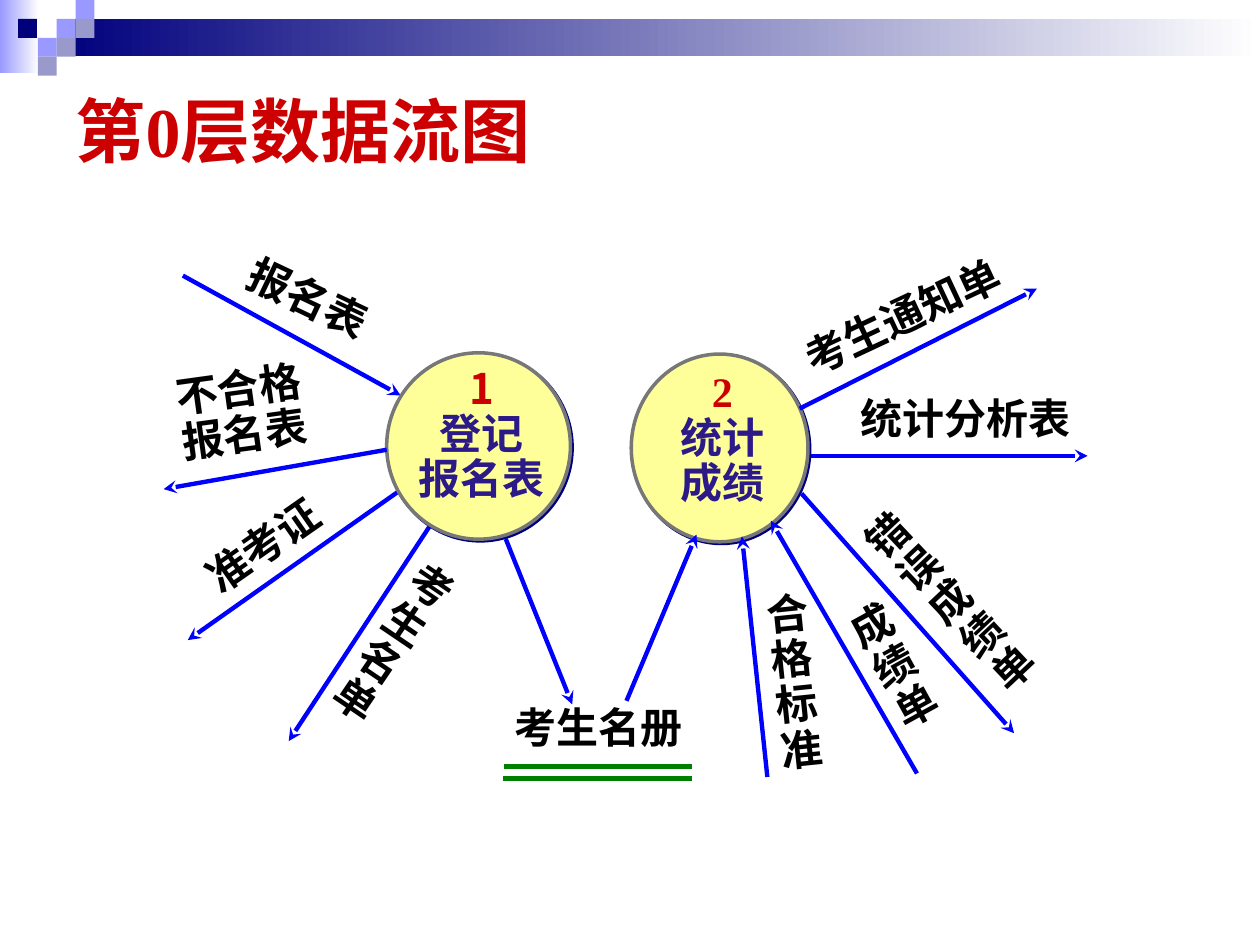
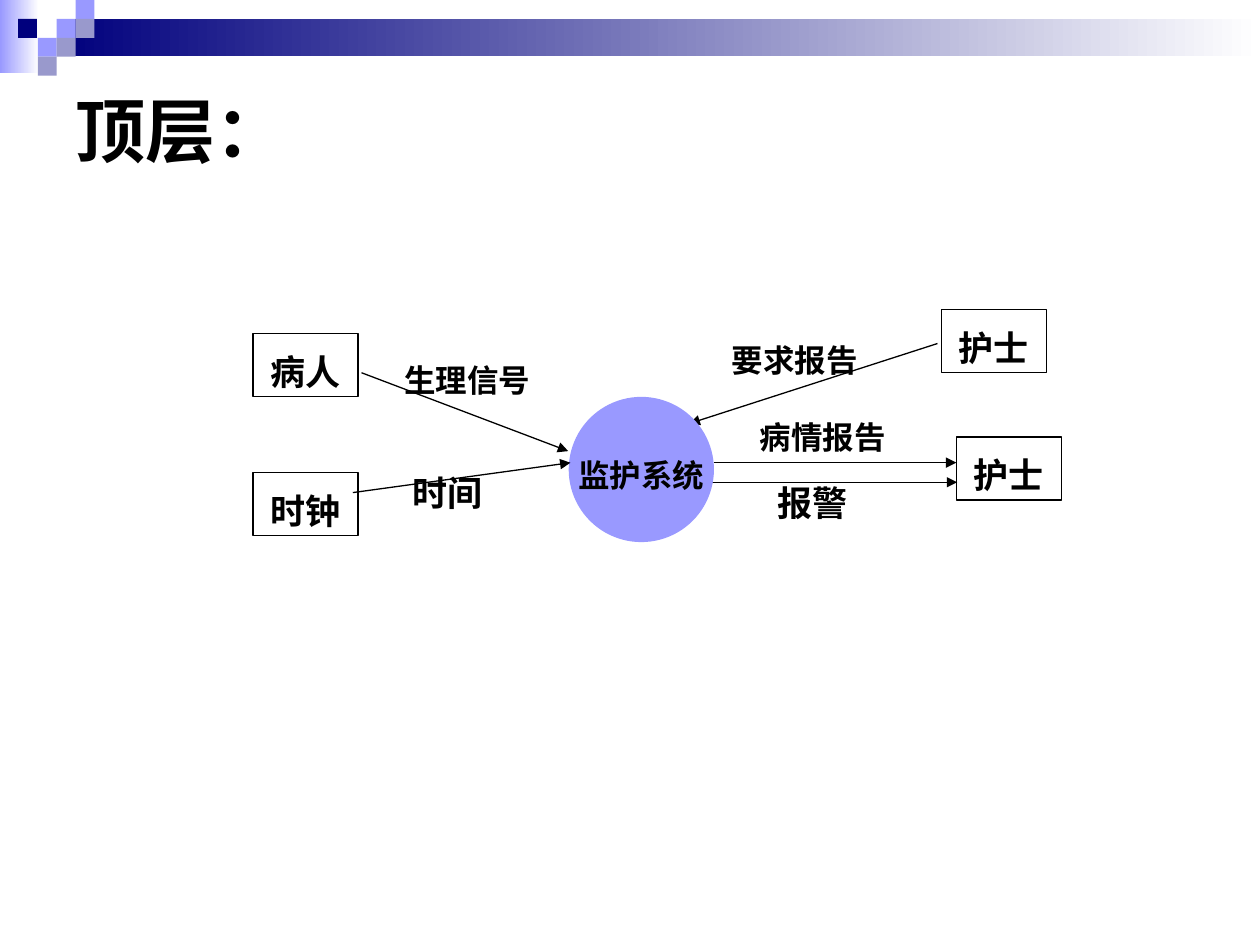
from dataclasses import dataclass

from lxml import etree
from pptx import Presentation
from pptx.dml.color import RGBColor
from pptx.enum import shapes, text
from pptx.oxml import ns
from pptx.util import Pt

CJK, SERIF = "Noto Sans CJK SC", "Times New Roman"
BLACK, RED, INDIGO = "000000", "CC0000", "2C1A88"
NAVY, LILAC, GREY_LILAC = "00007D", "9999FF", "9999CC"
BLUE, GREEN, GREY, YELLOW = "0000FF", "008000", "777777", "FFFF99"
RECT, OVAL = shapes.MSO_SHAPE.RECTANGLE, shapes.MSO_SHAPE.OVAL
LEFT, CENTER = text.PP_ALIGN.LEFT, text.PP_ALIGN.CENTER


def rgb(colour):
    return RGBColor.from_string(colour)


def add_xml(parent, tag, **attributes):
    return etree.SubElement(parent, ns.qn(tag), attributes)


@dataclass
class Span:
    text: str
    colour: str = BLACK
    font: str = CJK


class Sketch:
    """Holds the deck, its shared style and the slide being drawn."""

    def __init__(self):
        self.deck = Presentation()
        self.deck.slide_width, self.deck.slide_height = Pt(720), Pt(540)
        self.page = None

    def new_page(self, title, colour):
        self.page = self.deck.slides.add_slide(self.deck.slide_layouts[5])
        box = self.page.shapes.title
        box.left, box.top, box.width, box.height = Pt(36), Pt(36), Pt(648), Pt(75.5)
        frame = box.text_frame
        frame.auto_size = text.MSO_AUTO_SIZE.NONE
        frame.vertical_anchor = text.MSO_ANCHOR.MIDDLE
        self.set_text(frame, [[Span(title, colour, SERIF)]], 40)

    def set_text(self, frame, paragraphs, size, spacing=None, align=LEFT):
        for index, spans in enumerate(paragraphs):
            para = frame.add_paragraph() if index else frame.paragraphs[0]
            para.alignment = align
            para.line_spacing = spacing
            for span in spans:
                run = para.add_run()
                run.text = span.text
                run.font.size, run.font.bold = Pt(size), True
                run.font.color.rgb = rgb(span.colour)
                run.font.name = span.font
                add_xml(run._r.get_or_add_rPr(), "a:ea", typeface=CJK)

    def shape(self, kind, place, fill=None, line=None, width=0.75):
        shape = self.page.shapes.add_shape(kind, *map(Pt, place))
        shape.shadow.inherit = False
        if fill:
            shape.fill.solid()
            shape.fill.fore_color.rgb = rgb(fill)
        else:
            shape.fill.background()
        if line:
            shape.line.color.rgb = rgb(line)
            shape.line.width = Pt(width)
        else:
            shape.line.fill.background()
        return shape

    def node(self, kind, place, span, size, fill=None, line=None):
        """A shape with one centred line of text."""
        frame = self.shape(kind, place, fill, line).text_frame
        frame.word_wrap = False
        frame.vertical_anchor = text.MSO_ANCHOR.MIDDLE
        self.set_text(frame, [[span]], size, 1.3, CENTER)

    def process(self, place):
        """A yellow circle with a hard navy shadow."""
        circle = self.shape(OVAL, place, YELLOW, GREY, 2)
        effects = circle.element.spPr.find(ns.qn("a:effectLst"))
        shadow = add_xml(effects, "a:outerShdw", dist=str(Pt(1.4)),
                         dir="2700000", algn="ctr", rotWithShape="0")
        add_xml(shadow, "a:srgbClr", val=NAVY)

    def label(self, place, paragraphs, size=24, spacing=None, turn=0,
              align=LEFT, wrap=True):
        box = self.page.shapes.add_textbox(*map(Pt, place))
        box.rotation = turn
        frame = box.text_frame
        frame.word_wrap = wrap
        frame.auto_size = text.MSO_AUTO_SIZE.SHAPE_TO_FIT_TEXT
        self.set_text(frame, paragraphs, size, spacing, align)

    def line(self, ends, colour, width, arrow=None):
        line = self.page.shapes.add_connector(
            shapes.MSO_CONNECTOR.STRAIGHT, *map(Pt, ends))
        line.line.color.rgb = rgb(colour)
        line.line.width = Pt(width)
        outline = line.element.spPr.find(ns.qn("a:ln"))
        if arrow:
            add_xml(outline, "a:tailEnd", type=arrow)
        add_xml(line.element.spPr, "a:effectLst")

    def fade(self, place, colour):
        """A band that runs from a colour at the left to white."""
        band = self.shape(RECT, place, colour)
        band.fill.gradient()
        band.fill.gradient_angle = 0
        for stop, tone in zip(band.fill.gradient_stops, (colour, "FFFFFF")):
            stop.color.rgb = rgb(tone)
        return band

    def decorate_master(self):
        """Draw the header on the current page, then move it to the master."""
        tile = 10.8
        parts = [self.fade((0, 0, 22.3, 42), LILAC),
                 self.fade((32.4, tile, 687.6, 21.4), NAVY)]
        for left, row, colour in [
                (32.4, 1, LILAC), (43.2, 0, LILAC), (43.2, 1, GREY_LILAC),
                (21.6, 2, LILAC), (10.3, 1, NAVY), (32.4, 2, GREY_LILAC),
                (21.6, 3, GREY_LILAC)]:
            parts.append(self.shape(RECT, (left, row * tile, tile, tile), colour))
        for number, part in enumerate(parts, 100):
            part.element.xpath(".//p:cNvPr")[0].set("id", str(number))
            self.deck.slide_master.shapes.element.append(part.element)


def level_zero(sketch):
    flows = [
        (104.5, 157.5, 229, 226), (227.5, 281, 107.3, 365.8),
        (246, 300, 165, 423.5), (289, 308, 327, 402.5),
        (358, 400.5, 398, 305.5), (457, 233.5, 592.5, 165),
        (438.5, 444, 424, 306.5), (458, 282, 579.5, 419),
        (463.5, 260.5, 621.5, 260.5), (524, 442, 440.5, 297.5),
        (221, 257, 93.5, 279.5)]
    behind = 3
    for flow in flows[:behind]:
        sketch.line(flow, BLUE, 2.5, "stealth")

    processes = [
        ((221, 201.6, 105, 106.5), (224.6, 206.6, 101, 85),
         Span("1", RED), ("登记", "报名表")),
        ((360.7, 202.3, 101, 107.3), (375.8, 208.8, 74, 85),
         Span("2", RED, SERIF), ("统计", "成绩"))]
    for circle, caption, number, words in processes:
        sketch.process(circle)
        lines = [[number]] + [[Span(word, INDIGO)] for word in words]
        sketch.label(caption, lines, spacing=0.9, align=CENTER)

    for flow in flows[behind:]:
        sketch.line(flow, BLUE, 2.5, "stealth")

    for place, turn, spacing, words in [
            ((133, 152.5, 89.5, 36), 25.5, None, ["报名表"]),
            ((106, 291, 94.5, 36), -34.9, None, ["准考证"]),
            ((95, 206.5, 90.5, 59), -7.9, 0.9, ["不合格", "报名表"]),
            ((448.5, 162, 136, 36), -25.1, None, ["考生通知单"]),
            ((484.5, 221, 170.5, 36), 0, None, ["统计分析表"]),
            ((492.5, 339, 38, 85), -28.8, 0.9, ["成绩单"]),
            ((435, 335, 45, 111), -5.9, 0.9, ["合", "格", "标", "准"]),
            ((205, 313, 38, 111), 34.1, 0.9, ["考生名", "单"]),
            ((525, 276.5, 38, 137), -43.3, 0.9, ["错误成绩单"])]:
        sketch.label(place, [[Span(word)] for word in words],
                     spacing=spacing, turn=turn)

    sketch.label((287, 400.5, 111, 33), [[Span("考生名册")]], spacing=0.9, wrap=False)
    for left, y in [(288, 438), (287.5, 445)]:
        sketch.line((left, y, 395.5, y), GREEN, 3)


def top_level(sketch):
    for left, top, word, font in [
            (144.5, 190.5, "病人", CJK), (144.5, 270, "时钟", CJK),
            (546.5, 249.8, "护士", SERIF), (538, 177, "护士", CJK)]:
        sketch.node(RECT, (left, top, 60, 36), Span(word, font=font), 20, line=BLACK)

    for flow in [(206.6, 213, 324.7, 257.8), (535.7, 196.3, 394, 242),
                 (408.2, 264.4, 546.5, 264.4), (405.4, 275.6, 547, 275.6)]:
        sketch.line(flow, BLACK, 0.75, "triangle")

    for place, size, wrap, spans in [
            ((224, 196.5, 108, 35), 18, True, [Span("生理信号")]),
            ((411, 185, 86.5, 35), 18, False, [Span("要求报告", font=SERIF)]),
            ((427, 229, 86.5, 35), 18, False,
             [Span("病情"), Span("报告", font=SERIF)]),
            ((437, 264.3, 55, 39), 20, True, [Span("报警", font=SERIF)]),
            ((228.5, 258.5, 69, 39), 20, True, [Span("时间")])]:
        sketch.label(place, [spans], size, 1.3, wrap=wrap)

    sketch.node(OVAL, (325, 226.8, 83, 83), Span("监护系统", font=SERIF), 18, LILAC)
    sketch.line((201.6, 281.5, 326, 264.4), BLACK, 0.75, "triangle")


def main():
    sketch = Sketch()
    sketch.new_page("第0层数据流图", RED)
    sketch.decorate_master()
    level_zero(sketch)
    sketch.new_page("顶层：", BLACK)
    top_level(sketch)
    sketch.deck.save("out.pptx")


if __name__ == "__main__":
    main()
